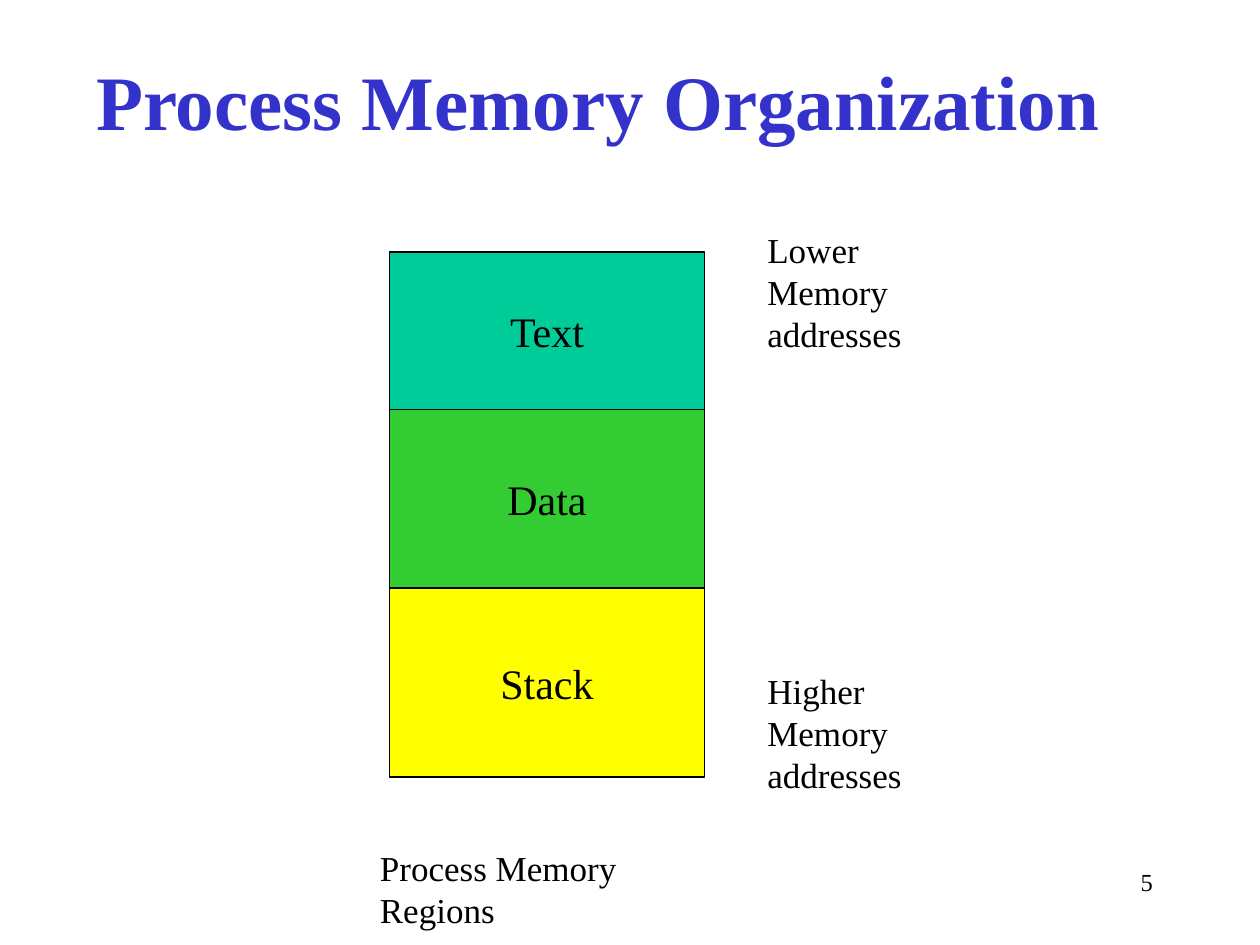
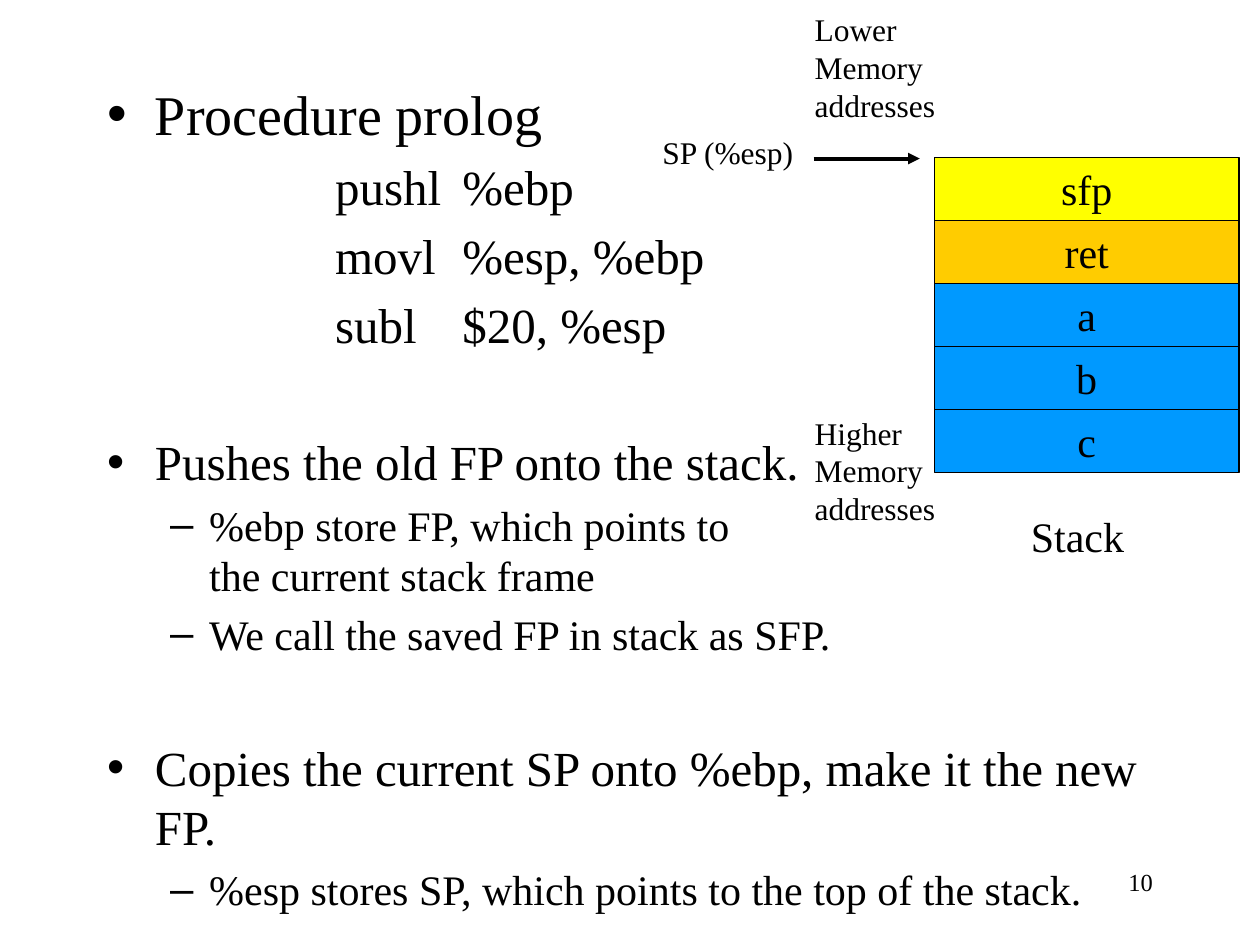
from dataclasses import dataclass
from typing import Any

from lxml import etree
from pptx import Presentation
from pptx.dml.color import RGBColor
from pptx.enum.shapes import MSO_CONNECTOR, MSO_SHAPE
from pptx.enum.text import MSO_ANCHOR, MSO_AUTO_SIZE, PP_ALIGN
from pptx.oxml.ns import qn
from pptx.util import Inches, Pt

RECTANGLE = MSO_SHAPE.RECTANGLE
STRAIGHT = MSO_CONNECTOR.STRAIGHT
TOP, MIDDLE = MSO_ANCHOR.TOP, MSO_ANCHOR.MIDDLE
LEFT, CENTER, RIGHT = PP_ALIGN.LEFT, PP_ALIGN.CENTER, PP_ALIGN.RIGHT
FIXED = MSO_AUTO_SIZE.NONE

FONT = "Times New Roman"
COLORS = {
    "ink": "000000",
    "title": "3333CC",
    "text": "00CC99",
    "data": "33CC33",
    "stack": "FFFF00",
    "return": "FFCC00",
    "argument": "0099FF",
}
COLUMNS, ROWS = 120, 90
TITLE_ONLY, TITLE_AND_CONTENT = 5, 1

LIST_STYLES = {
    "heading": {"level": 0, "size": 32, "left": 0.38, "indent": -0.38, "bullet": "•"},
    "point": {"level": 0, "size": 28, "left": 0.38, "indent": -0.38, "bullet": "•"},
    "detail": {"level": 1, "size": 24, "left": 0.81, "indent": -0.31, "bullet": "–"},
    "code": {"level": 1, "size": 28, "left": 2.82, "indent": -1.01, "bullet": None},
}
SECTION_GAP = 45


def color(name):
    return RGBColor.from_string(COLORS[name])


@dataclass
class Slides:
    """Draws styled elements on the current slide, on a grid of columns and rows."""

    deck: Any
    page: Any = None

    def new_page(self, layout, number):
        self.page = self.deck.slides.add_slide(self.deck.slide_layouts[layout])
        self.label(number, (86, 82, 25, 6), 14, RIGHT, wrap=True)

    def x(self, columns):
        return round(self.deck.slide_width * columns / COLUMNS)

    def y(self, rows):
        return round(self.deck.slide_height * rows / ROWS)

    def place(self, area):
        left, top, width, height = area
        return self.x(left), self.y(top), self.x(width), self.y(height)

    def move(self, shape, area):
        shape.left, shape.top, shape.width, shape.height = self.place(area)

    def style_runs(self, paragraph, size, name="ink", bold=False):
        for span in paragraph.runs:
            span.font.name = FONT
            span.font.size = Pt(size)
            span.font.bold = bold
            span.font.color.rgb = color(name)

    def fill_text(self, shape, text, size, align, anchor, wrap, name="ink", bold=False):
        frame = shape.text_frame
        frame.text = text
        frame.word_wrap = wrap
        frame.auto_size = FIXED
        frame.vertical_anchor = anchor
        for paragraph in frame.paragraphs:
            paragraph.alignment = align
            self.style_runs(paragraph, size, name, bold)
        return frame

    def title(self, text, area):
        title = self.page.shapes.title
        self.move(title, area)
        self.fill_text(title, text, 44, CENTER, MIDDLE, True, "title", True)

    def label(self, text, area, size, align=LEFT, wrap=False):
        box = self.page.shapes.add_textbox(*self.place(area))
        return self.fill_text(box, text, size, align, TOP, wrap)

    def stack(self, left, top, width, cells):
        for text, fill, height in cells:
            area = self.place((left, top, width, height))
            box = self.page.shapes.add_shape(RECTANGLE, *area)
            box.shadow.inherit = False
            box.fill.solid()
            box.fill.fore_color.rgb = color(fill)
            box.line.color.rgb = color("ink")
            box.line.width = Pt(0.75)
            self.fill_text(box, text, 24, CENTER, MIDDLE, False)
            top += height

    def arrow(self, start, end, row):
        arrow = self.page.shapes.add_connector(
            STRAIGHT, self.x(start), self.y(row), self.x(end), self.y(row))
        arrow.line.color.rgb = color("ink")
        arrow.line.width = Pt(2.25)
        properties = arrow._element.spPr
        etree.SubElement(properties.find(qn("a:ln")), qn("a:tailEnd"), type="triangle")
        etree.SubElement(properties, qn("a:effectLst"))

    def bullets(self, area, items):
        title = self.page.shapes.title
        title._element.getparent().remove(title._element)
        body = self.page.placeholders[1]
        self.move(body, area)
        frame = body.text_frame
        frame.text = "\n".join(text for _, text in items)
        frame.auto_size = FIXED
        for paragraph, (kind, _) in zip(frame.paragraphs, items):
            style = LIST_STYLES[kind]
            size = style["size"]
            paragraph.level = style["level"]
            paragraph.space_before = Pt(SECTION_GAP if kind == "point" else size * 0.2)
            self.style_runs(paragraph, size)
            properties = paragraph._p.get_or_add_pPr()
            properties.set("marL", str(Inches(style["left"])))
            properties.set("indent", str(Inches(style["indent"])))
            if style["bullet"]:
                etree.SubElement(properties, qn("a:buChar"), char=style["bullet"])
            else:
                etree.SubElement(properties, qn("a:buNone"))


deck = Presentation()
deck.slide_width, deck.slide_height = Inches(10), Inches(7.5)
slides = Slides(deck)

slides.new_page(TITLE_ONLY, "5")
slides.title("Process Memory Organization", (6, 2, 102, 15))
slides.stack(37.1, 24, 30, [
    ("Text", "text", 15), ("Data", "data", 17), ("Stack", "stack", 18)])
for end, top in (("Lower", 21.2), ("Higher", 63.2)):
    slides.label(f"{end}\nMemory\naddresses", (71.9, top, 15.1, 13.2), 20)
caption = slides.label("Process Memory Regions", (35, 80, 36.6, 5.2), 20, wrap=True)
caption.margin_right = Inches(0.85)

slides.new_page(TITLE_AND_CONTENT, "10")
slides.bullets((9, 7, 102, 73), [
    ("heading", "Procedure prolog"),
    ("code", "pushl\t%ebp"),
    ("code", "movl\t%esp, %ebp"),
    ("code", "subl\t$20, %esp"),
    ("point", "Pushes the old FP onto the stack."),
    ("detail", "%ebp store FP, which points to\vthe current stack frame"),
    ("detail", "We call the saved FP in stack as SFP."),
    ("point", "Copies the current SP onto %ebp, make it the new FP."),
    ("detail", "%esp stores SP, which points to the top of the stack."),
])
slides.stack(89, 15, 29, [
    ("sfp", "stack", 6), ("ret", "return", 6),
    *((name, "argument", 6) for name in "abc")])
slides.label("Stack", (97, 48, 11.3, 6), 24)
for end, top in (("Lower", 0.4), ("Higher", 38.8)):
    slides.label(f"{end}\nMemory\naddresses", (76.4, top, 14, 12.1), 18)
slides.label("SP (%esp)", (61.9, 12.1, 15, 4.8), 18)
slides.arrow(77.5, 87.6, 15.1)

deck.save("out.pptx")
